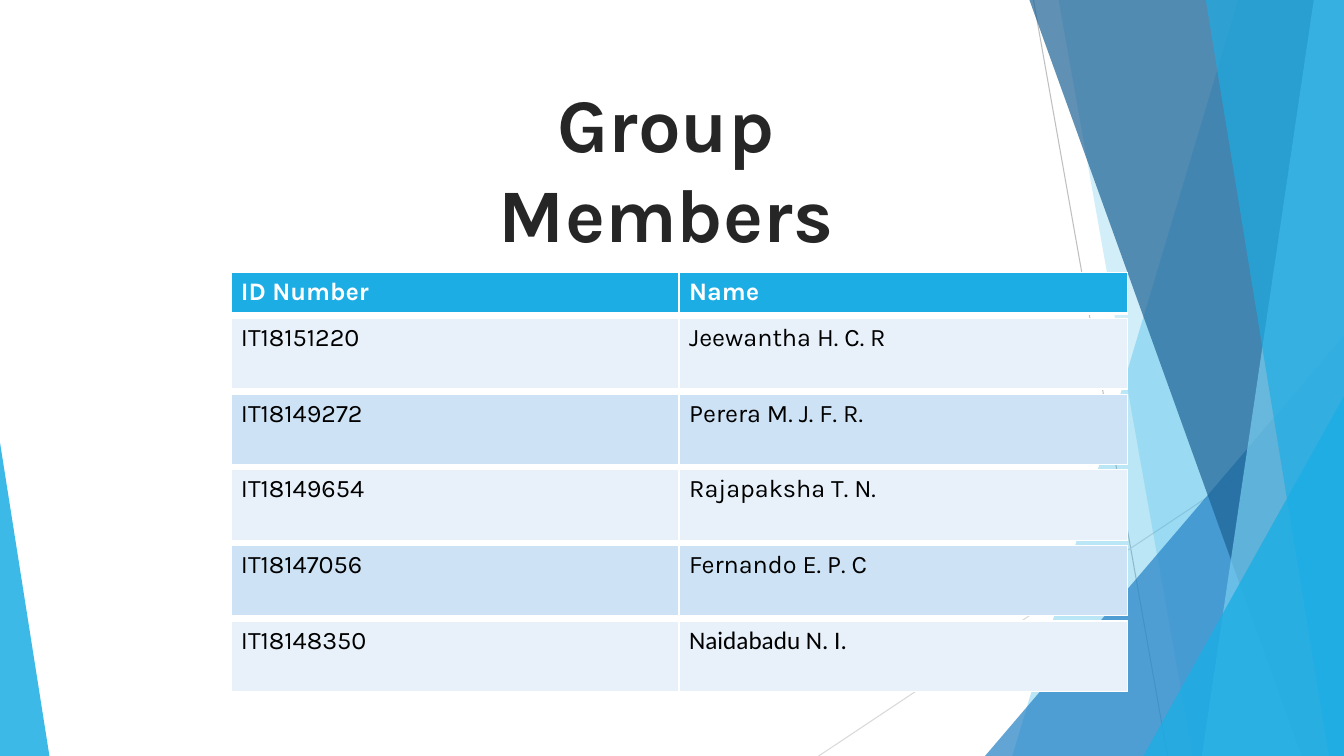
from lxml import etree
from pptx import Presentation
from pptx import util as u
from pptx.dml.color import RGBColor
from pptx.enum import shapes, text
from pptx.oxml import ns

WHITE = RGBColor(0xFF, 0xFF, 0xFF)
BLACK = RGBColor(0x00, 0x00, 0x00)
INK = RGBColor(0x26, 0x26, 0x26)
GREY = RGBColor(0xBF, 0xBF, 0xBF)
PALE_GREY = RGBColor(0xD9, 0xD9, 0xD9)
CYAN = RGBColor(0x1C, 0xAD, 0xE4)
LIGHT_CYAN = RGBColor(0x77, 0xCE, 0xEF)
BLUE = RGBColor(0x26, 0x83, 0xC6)
NAVY = RGBColor(0x1D, 0x62, 0x94)
BAND_LIGHT = RGBColor(0xE8, 0xF1, 0xFA)
BAND_DARK = RGBColor(0xCD, 0xE3, 0xF5)


class Deck:
    font = "Karla"

    def __init__(self, prs):
        self.slide = prs.slides.add_slide(prs.slide_layouts[6])
        self.shapes = self.slide.shapes

    def line(self, x1, y1, x2, y2, color):
        sp = self.shapes.add_connector(
            shapes.MSO_CONNECTOR.STRAIGHT, *map(u.Inches, (x1, y1, x2, y2)))
        sp.line.color.rgb = color
        sp.line.width = u.Pt(0.75)
        etree.SubElement(sp._element.spPr, ns.qn("a:effectLst"))

    def paint(self, sp, color, opacity):
        sp.shadow.inherit = False
        sp.line.fill.background()
        sp.fill.solid()
        sp.fill.fore_color.rgb = color
        clr = sp._element.spPr.find(".//" + ns.qn("a:srgbClr"))
        etree.SubElement(clr, ns.qn("a:alpha"), val=str(opacity * 1000))

    def facet(self, points, color, opacity):
        pts = [(u.Inches(x), u.Inches(y)) for x, y in points]
        fb = self.shapes.build_freeform(*pts[0])
        fb.add_line_segments(pts[1:], close=True)
        self.paint(fb.convert_to_shape(), color, opacity)

    def triangle(self, x, y, w, h, apex, color, opacity):
        sp = self.shapes.add_shape(
            shapes.MSO_SHAPE.ISOSCELES_TRIANGLE, *map(u.Inches, (x, y, w, h)))
        sp.adjustments[0] = apex
        self.paint(sp, color, opacity)

    def style(self, p, size, color, bold=False, font=None):
        for r in p.runs:
            r.font.name = font or self.font
            r.font.size = u.Pt(size)
            r.font.bold = bold
            r.font.color.rgb = color

    def title(self, words, x, y, w, h):
        tf = self.shapes.add_textbox(*map(u.Inches, (x, y, w, h))).text_frame
        tf.word_wrap = True
        p = tf.paragraphs[0]
        p.text = words
        p.alignment = text.PP_ALIGN.CENTER
        self.style(p, 54, INK, bold=True)

    def border(self, cell, bottom):
        tcPr = cell._tc.get_or_add_tcPr()
        for i, side in enumerate("LRTB"):
            width = bottom if side == "B" else 1
            ln = etree.Element(ns.qn("a:ln" + side), w=str(u.Pt(width)))
            fill = etree.SubElement(ln, ns.qn("a:solidFill"))
            etree.SubElement(fill, ns.qn("a:srgbClr"), val=str(WHITE))
            tcPr.insert(i, ln)

    def row(self, words, y, h, fill, color=BLACK, bold=False, bottom=1,
            fonts=(None, None)):
        table = self.shapes.add_table(
            1, len(words), *map(u.Inches, (2.29, y, 8.89, h))).table
        table.first_row = table.horz_banding = False
        for cell, word, font in zip(table.rows[0].cells, words, fonts):
            cell.text_frame.text = word
            self.style(cell.text_frame.paragraphs[0], 18, color, bold, font)
            cell.fill.solid()
            cell.fill.fore_color.rgb = fill
            self.border(cell, bottom)


def main():
    prs = Presentation()
    prs.slide_width, prs.slide_height = u.Inches(13.33), u.Inches(7.5)
    s = Deck(prs)

    # Background lines and facets
    s.line(10.25, 0, 11.58, 7.5, GREY)
    s.line(13.33, 4.03, 8.12, 7.5, PALE_GREY)

    def right_facet(top, bottom, color, opacity):
        s.facet([(top, 0), (13.33, 0), (13.33, 7.5), (bottom, 7.5)],
                color, opacity)

    right_facet(12.28, 10.04, CYAN, 30)
    right_facet(10.5, 11.83, CYAN, 20)
    s.triangle(9.77, 3.33, 3.56, 4.17, 1, BLUE, 72)
    right_facet(10.21, 12.91, NAVY, 70)
    right_facet(13.03, 11.92, LIGHT_CYAN, 70)
    right_facet(11.96, 13.18, CYAN, 65)
    s.triangle(11.34, 3.93, 1.99, 3.57, 1, CYAN, 80)
    s.triangle(0, 4.39, 0.49, 3.11, 0, CYAN, 85)

    # Title
    s.title("Group Members", 3.73, 0.71, 5.75, 1.01)

    # Member tables, one per row
    s.row(("ID Number", "Name"), 2.7, 0.41, CYAN, WHITE, bold=True, bottom=3)
    members = [
        ("IT18151220", "Jeewantha H. C. R"),
        ("IT18149272", "Perera M. J. F. R."),
        ("IT18149654", "Rajapaksha T. N."),
        ("IT18147056", "Fernando E. P. C"),
        ("IT18148350", "Naidabadu N. I."),
    ]
    for i, member in enumerate(members):
        name_font = "Calibri" if i == len(members) - 1 else None
        s.row(member, 3.16 + 0.75 * i, 0.7, (BAND_LIGHT, BAND_DARK)[i % 2],
              fonts=(None, name_font))

    prs.save("out.pptx")


if __name__ == "__main__":
    main()
